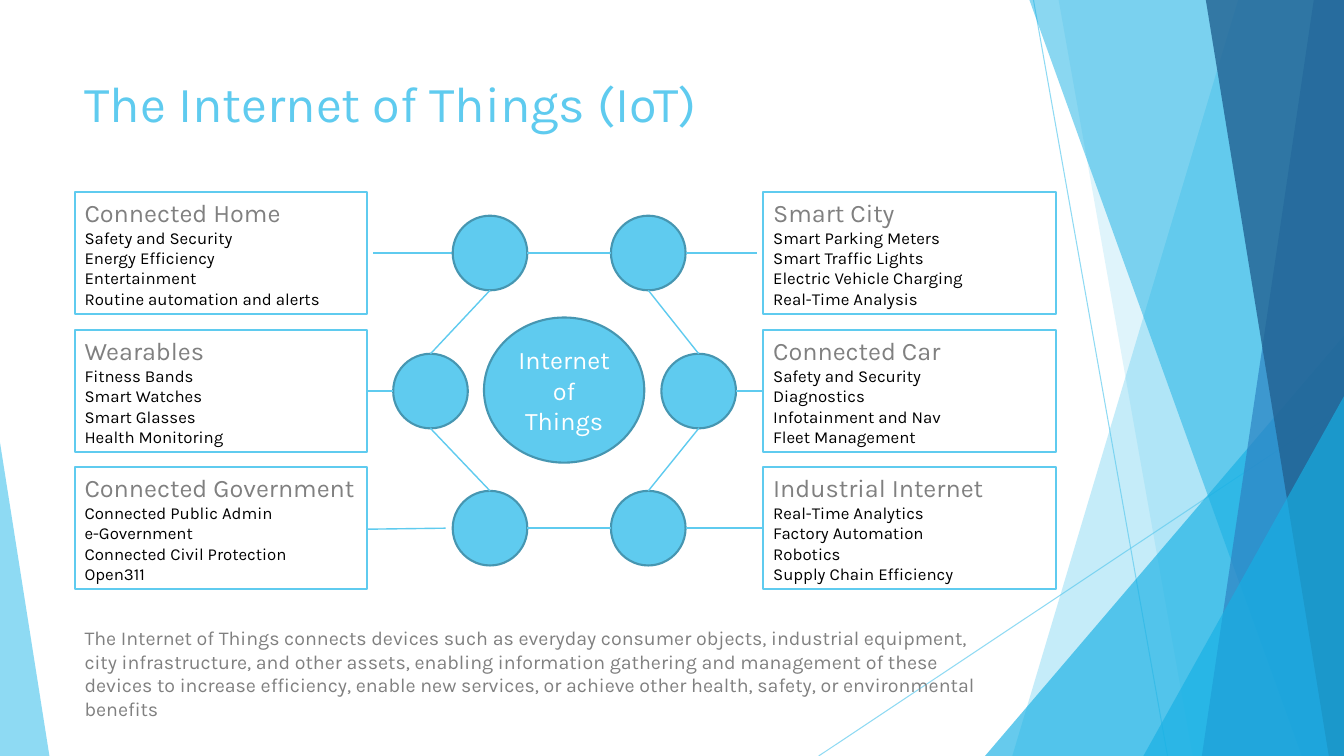
from lxml import etree
from pptx import Presentation
from pptx.dml.color import RGBColor
from pptx.enum.shapes import MSO_CONNECTOR, MSO_SHAPE
from pptx.enum.text import MSO_ANCHOR, PP_ALIGN
from pptx.oxml.ns import qn
from pptx.util import Inches, Pt

RECTANGLE = MSO_SHAPE.RECTANGLE
OVAL = MSO_SHAPE.OVAL
TRIANGLE = MSO_SHAPE.ISOSCELES_TRIANGLE
STRAIGHT = MSO_CONNECTOR.STRAIGHT
TOP, MIDDLE = MSO_ANCHOR.TOP, MSO_ANCHOR.MIDDLE
LEFT, CENTER = PP_ALIGN.LEFT, PP_ALIGN.CENTER

SKY, DEEP_SKY, STEEL = "5FCBEF", "17B0E4", "4696B1"
BLUE, NAVY = "2E83C3", "226292"
GRAY, WHITE, BLACK = "808080", "FFFFFF", "000000"

WIDTH, HEIGHT = 13.33, 7.5
ROW_CENTERS = (2.51, 3.88, 5.24)
LEFT_BOX, RIGHT_BOX, BOX_WIDTH, BOX_HEIGHT = 0.74, 7.57, 2.9, 1.21
DIAMETER = 0.74
RADIUS = DIAMETER / 2
INNER_LEFT, INNER_RIGHT = 4.86, 6.43
OUTER_LEFT, OUTER_RIGHT = 4.27, 6.93

# top left x, top right x, bottom right x, bottom left x, colour, opacity
BANDS = [
    (12.28, WIDTH, WIDTH, 10.04, SKY, 36),
    (10.5, WIDTH, WIDTH, 11.83, SKY, 20),
    (10.21, WIDTH, WIDTH, 12.91, DEEP_SKY, 50),
    (13.03, WIDTH, WIDTH, 11.92, BLUE, 70),
    (11.96, WIDTH, WIDTH, 13.18, NAVY, 80),
]

TOPICS = {
    LEFT_BOX: [
        ("Connected Home", "Safety and Security", "Energy Efficiency",
         "Entertainment", "Routine automation and alerts"),
        ("Wearables", "Fitness Bands", "Smart Watches", "Smart Glasses",
         "Health Monitoring"),
        ("Connected Government", "Connected Public Admin", "e-Government",
         "Connected Civil Protection", "Open311"),
    ],
    RIGHT_BOX: [
        ("Smart City", "Smart Parking Meters", "Smart Traffic Lights",
         "Electric Vehicle Charging", "Real-Time Analysis"),
        ("Connected Car", "Safety and Security", "Diagnostics",
         "Infotainment and Nav", "Fleet Management"),
        ("Industrial Internet", "Real-Time Analytics", "Factory Automation",
         "Robotics", "Supply Chain Efficiency"),
    ],
}

SUMMARY = (
    "The Internet of Things connects devices such as everyday consumer objects, "
    "industrial equipment, city infrastructure, and other assets, enabling "
    "information gathering and management of these devices to increase efficiency, "
    "enable new services, or achieve other health, safety, or environmental benefits"
)


def color(value):
    return RGBColor.from_string(value)


def set_opacity(shape, percent):
    """Apply opacity to the first colour of a shape or connector."""
    paint = shape._element.spPr.find(".//" + qn("a:srgbClr"))
    etree.SubElement(paint, qn("a:alpha")).set("val", str(percent * 1000))


class SlideBuilder:
    """Holds the style and the current slide."""

    font = "Karla"

    def __init__(self, slide):
        self.slide = slide
        self.shapes = slide.shapes

    def set_text(self, paragraph, text, size=12, fill=BLACK, align=LEFT):
        paragraph.text = text
        paragraph.alignment = align
        paragraph.font.name = self.font
        paragraph.font.size = Pt(size)
        paragraph.font.color.rgb = color(fill)

    def title(self, text, left, top, width, height):
        title = self.shapes.title
        title.left, title.top = Inches(left), Inches(top)
        title.width, title.height = Inches(width), Inches(height)
        title.text_frame.vertical_anchor = TOP
        self.set_text(title.text_frame.paragraphs[0], text, size=36, fill=SKY)

    def text_box(self, text, left, top, width, height, **style):
        box = self.shapes.add_textbox(
            Inches(left), Inches(top), Inches(width), Inches(height))
        box.text_frame.word_wrap = True
        self.set_text(box.text_frame.paragraphs[0], text, **style)

    def paint(self, shape, fill, line=None, opacity=None):
        shape.shadow.inherit = False
        shape.fill.solid()
        shape.fill.fore_color.rgb = color(fill)
        if opacity:
            set_opacity(shape, opacity)
        if line:
            shape.line.color.rgb = color(line)
            shape.line.width = Pt(1.5)
        else:
            shape.line.fill.background()

    def shape(self, kind, left, top, width, height, fill, **style):
        shape = self.shapes.add_shape(
            kind, Inches(left), Inches(top), Inches(width), Inches(height))
        self.paint(shape, fill, **style)
        return shape

    def triangle(self, left, top, width, fill, opacity, apex):
        """Triangle standing on the bottom edge of the slide."""
        shape = self.shape(TRIANGLE, left, top, width, HEIGHT - top, fill,
                           opacity=opacity)
        shape.adjustments[0] = apex

    def band(self, top_left, top_right, bottom_right, bottom_left, fill, opacity):
        """Slanted band over the full height of the slide."""
        builder = self.shapes.build_freeform(Inches(top_left), 0)
        builder.add_line_segments([
            (Inches(top_right), 0),
            (Inches(bottom_right), Inches(HEIGHT)),
            (Inches(bottom_left), Inches(HEIGHT)),
        ])
        self.paint(builder.convert_to_shape(), fill, opacity=opacity)

    def line(self, start_x, start_y, end_x, end_y, width=1, opacity=None):
        connector = self.shapes.add_connector(
            STRAIGHT, Inches(start_x), Inches(start_y), Inches(end_x), Inches(end_y))
        connector.line.color.rgb = color(SKY)
        connector.line.width = Pt(width)
        if opacity:
            set_opacity(connector, opacity)
        etree.SubElement(connector._element.spPr, qn("a:effectLst"))

    def topic_box(self, left, center_y, heading, *items):
        box = self.shape(RECTANGLE, left, center_y - BOX_HEIGHT / 2, BOX_WIDTH,
                         BOX_HEIGHT, WHITE, line=SKY)
        frame = box.text_frame
        frame.word_wrap = True
        frame.vertical_anchor = MIDDLE
        self.set_text(frame.paragraphs[0], heading, size=18, fill=GRAY)
        for item in items:
            self.set_text(frame.add_paragraph(), item)

    def node(self, center_x, center_y):
        self.shape(OVAL, center_x - RADIUS, center_y - RADIUS, DIAMETER, DIAMETER,
                   SKY, line=STEEL)

    def hub(self, text, left, top, width, height):
        frame = self.shape(OVAL, left, top, width, height, SKY, line=STEEL).text_frame
        frame.word_wrap = True
        frame.vertical_anchor = MIDDLE
        self.set_text(frame.paragraphs[0], text, size=18, fill=WHITE, align=CENTER)


def draw_background(builder):
    builder.line(10.25, 0, 11.58, HEIGHT, width=0.75, opacity=70)
    builder.line(WIDTH, 4.03, 8.12, HEIGHT, width=0.75, opacity=70)
    for band in BANDS[:2]:
        builder.band(*band)
    builder.triangle(9.77, 3.33, 3.56, DEEP_SKY, 66, apex=1)
    for band in BANDS[2:]:
        builder.band(*band)
    builder.triangle(11.34, 3.93, 1.99, DEEP_SKY, 66, apex=1)
    builder.triangle(0, 4.39, 0.49, SKY, 70, apex=0)


def draw_network(builder):
    top, middle, bottom = ROW_CENTERS
    box_edge = LEFT_BOX + BOX_WIDTH
    builder.hub("Internet of Things", 4.8, 3.15, 1.59, 1.44)
    builder.line(3.7, top, INNER_LEFT - RADIUS, top)
    builder.line(box_edge, 5.25, 4.42, bottom)

    for row, left, right in ((top, INNER_LEFT, INNER_RIGHT),
                             (middle, OUTER_LEFT, OUTER_RIGHT),
                             (bottom, INNER_LEFT, INNER_RIGHT)):
        builder.node(left, row)
        builder.node(right, row)

    builder.line(box_edge, middle, OUTER_LEFT - RADIUS, middle)
    builder.line(OUTER_RIGHT + RADIUS, middle, RIGHT_BOX, middle)
    for row, box_end in ((top, 7.51), (bottom, RIGHT_BOX)):
        builder.line(INNER_LEFT + RADIUS, row, INNER_RIGHT - RADIUS, row)
        builder.line(INNER_RIGHT + RADIUS, row, box_end, row)
    for outer, inner in ((OUTER_LEFT, INNER_LEFT), (OUTER_RIGHT, INNER_RIGHT)):
        builder.line(outer, middle - RADIUS, inner, top + RADIUS)
        builder.line(outer, middle + RADIUS, inner, bottom - RADIUS)


def main():
    presentation = Presentation()
    presentation.slide_width = Inches(WIDTH)
    presentation.slide_height = Inches(HEIGHT)
    title_only = presentation.slide_layouts[5]
    builder = SlideBuilder(presentation.slides.add_slide(title_only))

    draw_background(builder)
    builder.title("The Internet of Things (IoT)", 0.74, 0.67, 9.4, 1.44)
    for left, topics in TOPICS.items():
        for center_y, topic in zip(ROW_CENTERS, topics):
            builder.topic_box(left, center_y, *topic)
    draw_network(builder)
    builder.text_box(SUMMARY, 0.74, 6.16, 9.07, 1.28, size=14, fill=GRAY)
    presentation.save("out.pptx")


if __name__ == "__main__":
    main()
